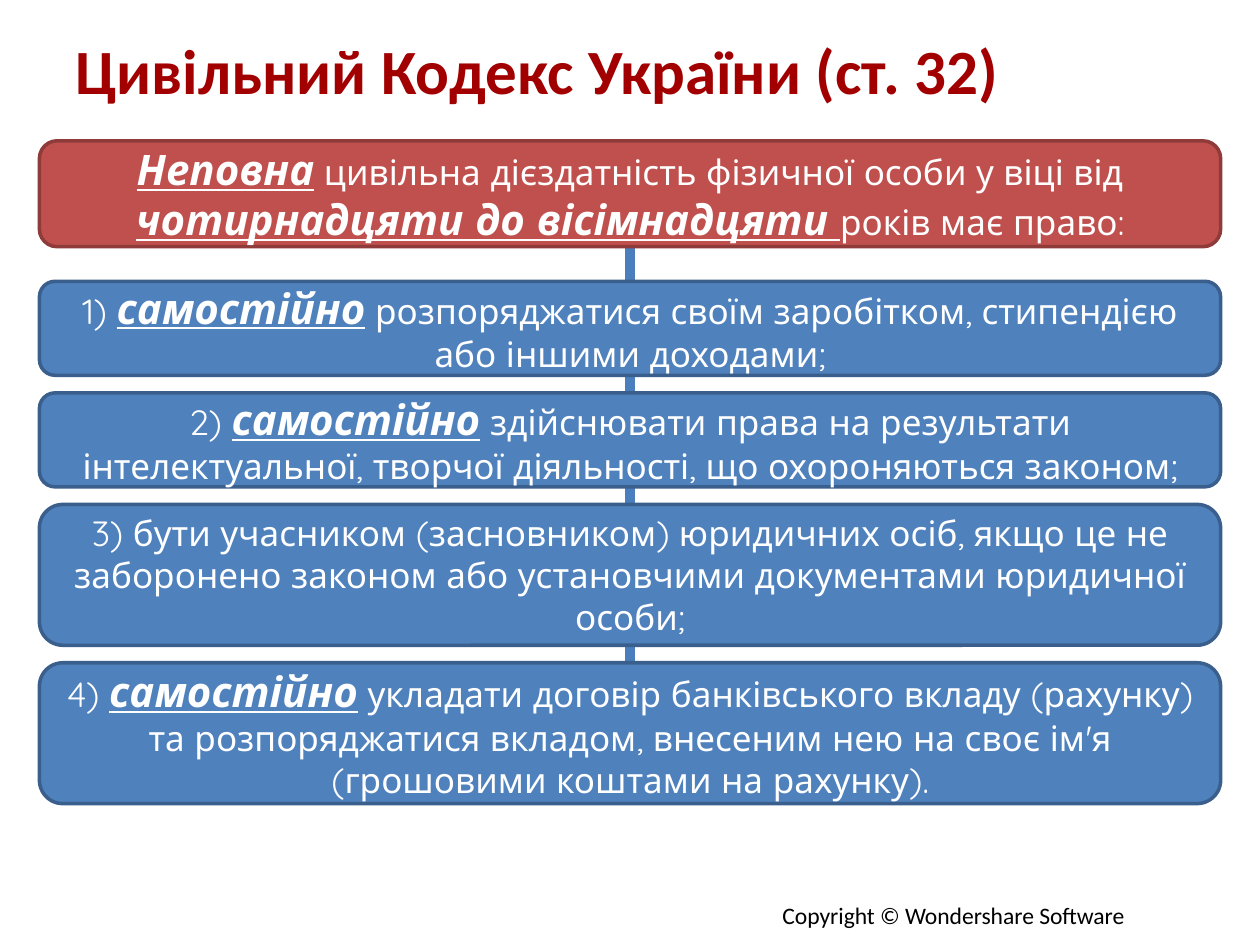
"""Build a slide on the rights of minors aged fourteen to eighteen under the Civil Code of Ukraine."""
from copy import deepcopy
from dataclasses import dataclass
from typing import Any

from lxml import etree
from pptx import Presentation
from pptx.dml.color import RGBColor
from pptx.enum.shapes import MSO_CONNECTOR, MSO_SHAPE
from pptx.enum.text import MSO_ANCHOR, MSO_AUTO_SIZE, PP_ALIGN
from pptx.oxml.ns import qn
from pptx.util import Pt

ROUNDED = MSO_SHAPE.ROUNDED_RECTANGLE
STRAIGHT = MSO_CONNECTOR.STRAIGHT
MIDDLE, TOP = MSO_ANCHOR.MIDDLE, MSO_ANCHOR.TOP
CENTER, JUSTIFY, LEFT = PP_ALIGN.CENTER, PP_ALIGN.JUSTIFY, PP_ALIGN.LEFT
NO_RESIZE, FIT_SHAPE = MSO_AUTO_SIZE.NONE, MSO_AUTO_SIZE.SHAPE_TO_FIT_TEXT
BOTTOM_SITE = 2


@dataclass(frozen=True)
class Theme:
    heading_font: str = "Calibri"
    body_font: str = "Quicksand"
    title_size: float = 36
    strong_size: float = 24
    body_size: float = 20
    copyright_size: float = 13.5
    white: str = "FFFFFF"
    black: str = "000000"
    header_fill: str = "C0504D"
    header_line: str = "8E3B39"
    right_fill: str = "4F81BD"
    right_line: str = "3A5F8C"
    spine: str = "4B7EBC"
    title_stops: tuple[tuple[float, str], ...] = ((0, "C00000"), (0.43, "A20000"), (1, "860000"))


@dataclass(frozen=True)
class Piece:
    text: str
    strong: bool = False


@dataclass(frozen=True)
class Panel:
    height: float
    pieces: tuple[Piece, ...]


THEME = Theme()
PANEL_LEFT, PANEL_WIDTH = 22.5, 675
HEADER_TOP, RIGHTS_TOP, RIGHTS_GAP = 80.5, 160.75, 10
SPINE_END = 451.5
SHORT, TALL = 53.75, 80.5
ALONE = Piece("самостійно", strong=True)

HEADER = Panel(60.5, (
    Piece("Неповна", strong=True),
    Piece(" цивільна дієздатність фізичної особи у віці від "),
    Piece("чотирнадцяти до вісімнадцяти ", strong=True),
    Piece("років має право:"),
))
RIGHTS = (
    Panel(SHORT, (Piece("1) "), ALONE, Piece(
        " розпоряджатися своїм заробітком, стипендією або іншими доходами;"))),
    Panel(SHORT, (Piece("2) "), ALONE, Piece(
        " здійснювати права на результати інтелектуальної, творчої діяльності, "
        "що охороняються законом;"))),
    Panel(TALL, (Piece(
        "3) бути учасником (засновником) юридичних осіб, якщо це не заборонено законом "
        "або установчими документами юридичної особи;"),)),
    Panel(TALL, (Piece("4) "), ALONE, Piece(
        " укладати договір банківського вкладу (рахунку) та розпоряджатися вкладом, "
        "внесеним нею на своє ім'я (грошовими коштами на рахунку)."))),
)


def apply_format(target: Any, values: dict[str, Any]) -> None:
    for name, value in values.items():
        setattr(target, name, value)


def add_run(paragraph: Any, text: str, values: dict[str, Any], color: str) -> Any:
    run = paragraph.add_run()
    run.text = text
    apply_format(run.font, values)
    run.font.color.rgb = RGBColor.from_string(color)
    return run


def add_panel(slide: Any, panel: Panel, top: float, fill: str, line: str) -> Any:
    shape = slide.shapes.add_shape(
        ROUNDED, Pt(PANEL_LEFT), Pt(top), Pt(PANEL_WIDTH), Pt(panel.height))
    shape.shadow.inherit = False
    shape.fill.solid()
    shape.fill.fore_color.rgb = RGBColor.from_string(fill)
    shape.line.color.rgb = RGBColor.from_string(line)
    shape.line.width = Pt(2)
    apply_format(shape.text_frame, {"word_wrap": True, "vertical_anchor": MIDDLE})
    paragraph = shape.text_frame.paragraphs[0]
    paragraph.alignment = CENTER
    for piece in panel.pieces:
        size = THEME.strong_size if piece.strong else THEME.body_size
        values = {"name": THEME.body_font, "size": Pt(size), "bold": piece.strong,
                  "italic": piece.strong, "underline": piece.strong}
        add_run(paragraph, piece.text, values, THEME.white)
    return shape


def add_text(slide: Any, text: str, bounds: tuple[float, float, float, float],
             frame_values: dict[str, Any], alignment: Any,
             font_values: dict[str, Any], color: str) -> Any:
    box = slide.shapes.add_textbox(*(Pt(length) for length in bounds))
    apply_format(box.text_frame, frame_values)
    paragraph = box.text_frame.paragraphs[0]
    paragraph.alignment = alignment
    return add_run(paragraph, text, font_values, color)


def add_title(slide: Any) -> None:
    run = add_text(
        slide, "Цивільний Кодекс України (ст. 32)", (36, 15, 543.5, 49),
        {"word_wrap": True, "auto_size": NO_RESIZE, "vertical_anchor": MIDDLE}, JUSTIFY,
        {"name": THEME.heading_font, "size": Pt(THEME.title_size), "bold": True},
        THEME.title_stops[1][1])
    fill = run.font.fill
    fill.gradient()
    fill.gradient_angle = 270
    stop_list = next(run.font._element.iter(qn("a:gsLst")))
    stop_list.insert(1, deepcopy(stop_list[0]))
    for stop, (position, color) in zip(fill.gradient_stops, THEME.title_stops):
        stop.position = position
        stop.color.rgb = RGBColor.from_string(color)


def add_spine(slide: Any) -> Any:
    center = PANEL_LEFT + PANEL_WIDTH / 2
    spine = slide.shapes.add_connector(
        STRAIGHT, Pt(center), Pt(HEADER_TOP + HEADER.height), Pt(center), Pt(SPINE_END))
    spine.line.color.rgb = RGBColor.from_string(THEME.spine)
    spine.line.width = Pt(6)
    etree.SubElement(spine._element.spPr, qn("a:effectLst"))
    return spine


def main() -> None:
    presentation = Presentation()
    apply_format(presentation, {"slide_width": Pt(720), "slide_height": Pt(540)})
    slide = presentation.slides.add_slide(presentation.slide_layouts[6])
    add_text(
        slide, "Copyright © Wondershare Software", (440, 511, 214, 24),
        {"word_wrap": False, "auto_size": FIT_SHAPE, "vertical_anchor": TOP}, LEFT,
        {"name": THEME.heading_font, "size": Pt(THEME.copyright_size)}, THEME.black)
    spine = add_spine(slide)
    header = add_panel(slide, HEADER, HEADER_TOP, THEME.header_fill, THEME.header_line)
    spine.begin_connect(header, BOTTOM_SITE)
    top = RIGHTS_TOP
    for right in RIGHTS:
        add_panel(slide, right, top, THEME.right_fill, THEME.right_line)
        top += right.height + RIGHTS_GAP
    add_title(slide)
    presentation.save("out.pptx")


if __name__ == "__main__":
    main()
